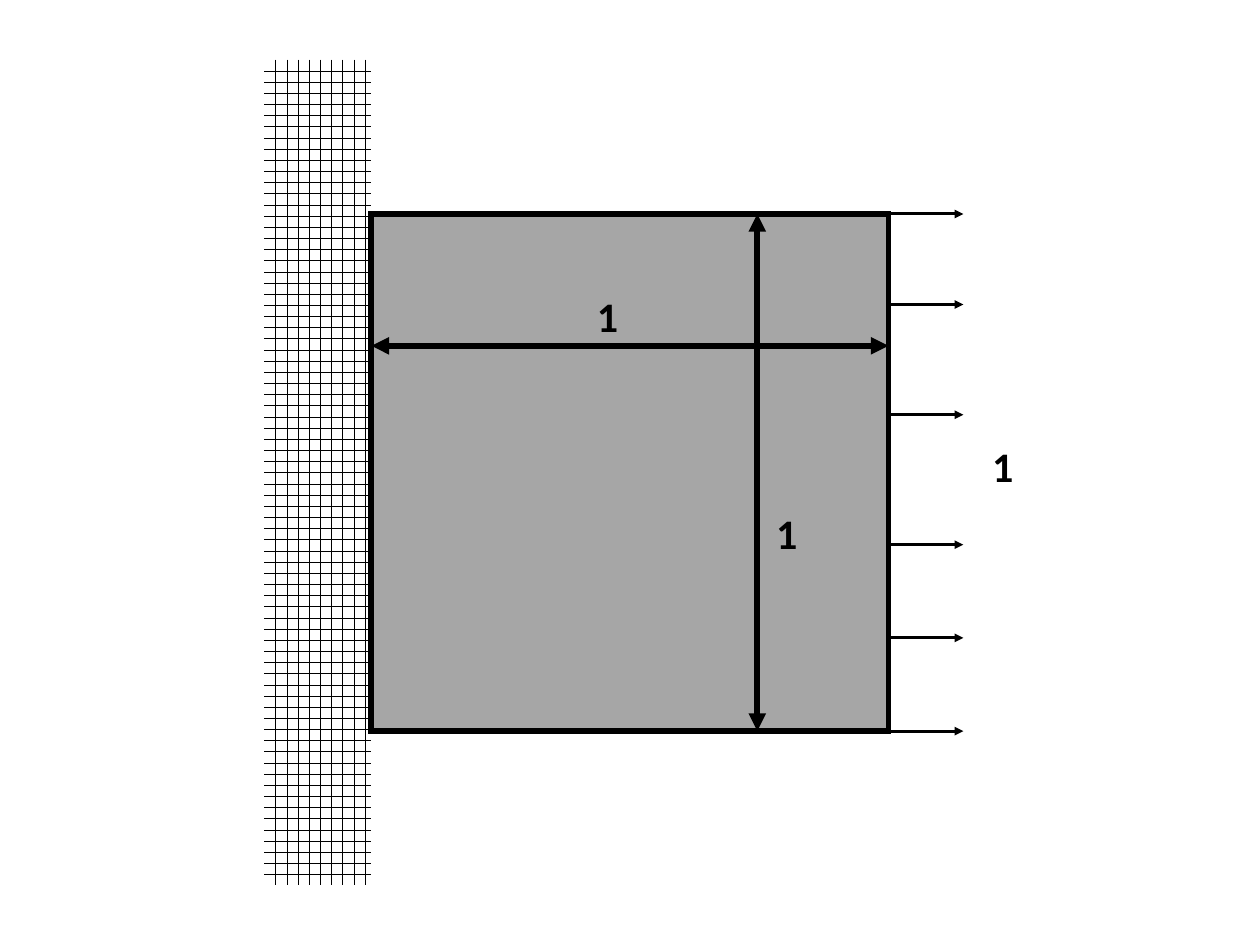
from dataclasses import dataclass

from lxml import etree
from pptx import Presentation
from pptx.dml.color import RGBColor
from pptx.enum import dml, shapes, text
from pptx.oxml.ns import qn
from pptx.util import Pt


@dataclass(frozen=True)
class Theme:
    ink: RGBColor = RGBColor(0, 0, 0)
    paper: RGBColor = RGBColor(255, 255, 255)
    plate: RGBColor = RGBColor(0xA6, 0xA6, 0xA6)
    font: str = "Calibri"
    size: float = 32
    thick: float = 4.5
    thin: float = 2.25


THEME = Theme()
LABEL_H = 46


def stroke(shape, width, head=False, tail=False):
    """Ink line with mitred corners and optional arrowheads."""
    shape.line.color.rgb = THEME.ink
    shape.line.width = Pt(width)
    line = shape._element.spPr.find(qn("a:ln"))
    etree.SubElement(line, qn("a:miter"), lim="800000")
    for end, shown in (("a:headEnd", head), ("a:tailEnd", tail)):
        if shown:
            etree.SubElement(line, qn(end), type="triangle")


def add_form(slide, kind, box):
    shape = slide.shapes.add_shape(kind, *map(Pt, box))
    shape.shadow.inherit = False
    return shape


def add_arrow(slide, start, end, width, head=False):
    line = slide.shapes.add_connector(
        shapes.MSO_CONNECTOR.STRAIGHT, *map(Pt, (*start, *end)))
    stroke(line, width, head=head, tail=True)
    etree.SubElement(line._element.spPr, qn("a:effectLst"))


def add_text(slide, words, box, size=THEME.size, color=THEME.ink, bold=True,
             align=text.PP_ALIGN.CENTER):
    frame = slide.shapes.add_textbox(*map(Pt, box)).text_frame
    frame.word_wrap = True
    frame.auto_size = text.MSO_AUTO_SIZE.SHAPE_TO_FIT_TEXT
    frame.vertical_anchor = text.MSO_ANCHOR.MIDDLE
    para = frame.paragraphs[0]
    para.alignment = align
    run = para.add_run()
    run.text = words
    run.font.name, run.font.size = THEME.font, Pt(size)
    run.font.bold, run.font.color.rgb = bold, color


def add_wall(slide, box):
    wall = add_form(slide, shapes.MSO_SHAPE.RECTANGLE, box)
    wall.fill.patterned()
    wall.fill.pattern = dml.MSO_PATTERN.HORIZONTAL_BRICK
    wall.fill.fore_color.rgb = THEME.ink
    wall.fill.back_color.rgb = THEME.paper
    wall.line.fill.background()


def add_plate(slide, box):
    """Square plate with its two dimension arrows and their labels."""
    left, top, width, height = box
    plate = add_form(slide, shapes.MSO_SHAPE.RECTANGLE, box)
    plate.fill.solid()
    plate.fill.fore_color.rgb = THEME.plate
    stroke(plate, THEME.thick)

    row, col = top + 100.5, left + 294
    add_arrow(slide, (left, row), (left + width, row), THEME.thick, head=True)
    add_arrow(slide, (col, top + height), (col, top), THEME.thick, head=True)
    add_text(slide, "1", (col - 4, top + 219.5, 53, LABEL_H))
    add_text(slide, "1", (left + 153.3, top + 54.5, 53, LABEL_H))


def add_load(slide, box):
    """Bracket whose ends are the outer arrows, with inner arrows between."""
    left, top, width, height = box
    frame = add_form(slide, shapes.MSO_SHAPE.RIGHT_BRACKET, box)
    frame.adjustments[0] = 0
    frame.rotation = 180
    frame.fill.background()
    stroke(frame, THEME.thin, head=True, tail=True)
    for drop in (323, 252, 153, 69):
        add_arrow(slide, (left, top + drop), (left + width, top + drop),
                  THEME.thin)
    add_text(slide, "1", (left + 39, top + 169, 98, LABEL_H))


def main():
    deck = Presentation()
    deck.slide_width, deck.slide_height = Pt(960), Pt(720)
    slide = deck.slides.add_slide(deck.slide_layouts[6])
    add_wall(slide, (201.5, 45.5, 81.5, 629))
    add_plate(slide, (283, 163, 394, 394))
    add_load(slide, (676, 163, 58, 394))
    deck.save("out.pptx")


if __name__ == "__main__":
    main()
